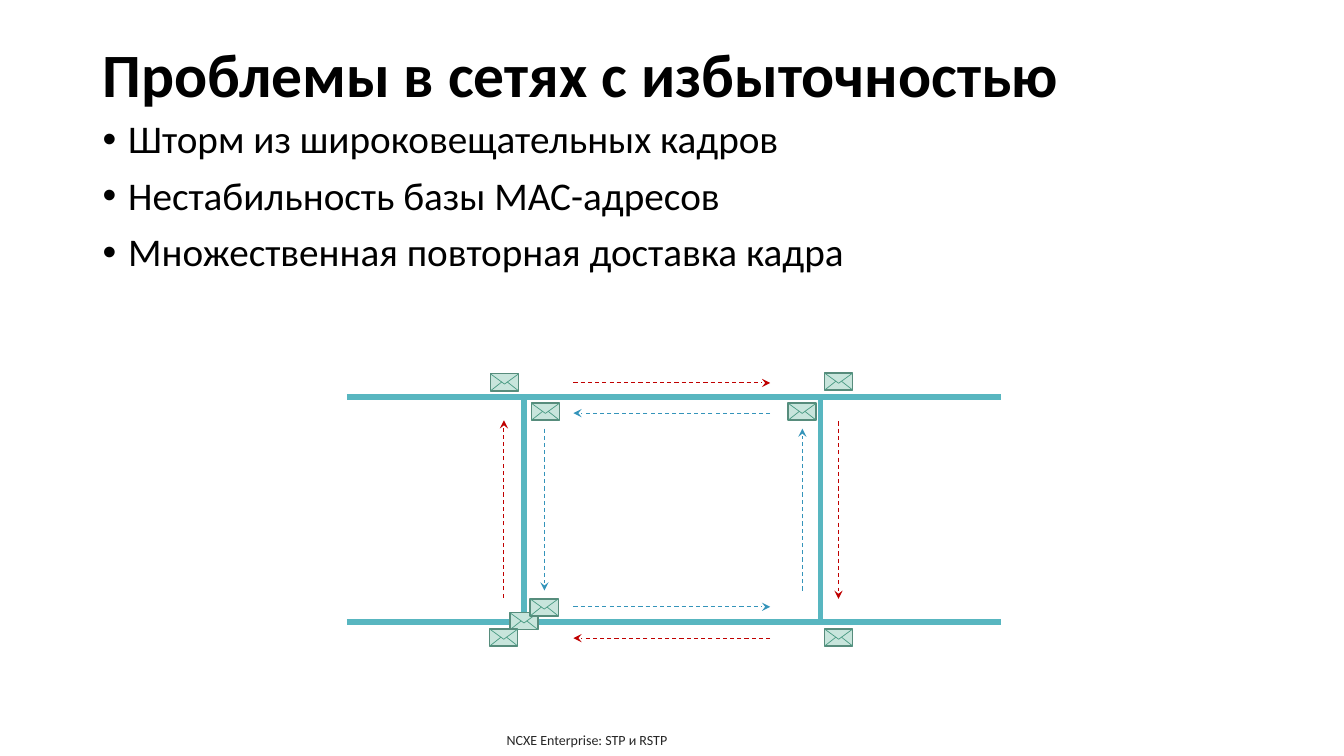
from typing import NamedTuple, Optional

from lxml.etree import SubElement
from pptx import Presentation
from pptx.dml.color import RGBColor
from pptx.enum.dml import MSO_LINE
from pptx.enum.shapes import MSO_CONNECTOR, MSO_SHAPE
from pptx.enum.text import MSO_ANCHOR
from pptx.oxml.ns import qn
from pptx.slide import Slide
from pptx.util import Cm, Pt


class Theme:
    font = "Calibri"
    text = RGBColor.from_string("000000")
    footer_text = RGBColor.from_string("262626")
    cable = RGBColor.from_string("58B6C0")
    clockwise = RGBColor.from_string("C00000")
    counter = RGBColor.from_string("3494BA")
    letter_fill = RGBColor.from_string("C8E5DC")
    letter_edge = RGBColor.from_string("578C7C")
    letter_fold = RGBColor.from_string("4A9B83")
    title_size, body_size, footer_size = 44, 28, 10
    cable_width, flow_width, edge_width, fold_width = 4, 0.75, 1, 0.5


class TextBlock(NamedTuple):
    left: float
    top: float
    width: float
    height: float
    lines: list[str]
    size: float
    color: RGBColor = Theme.text
    bold: bool = False
    bullets: bool = False
    line_spacing: Optional[float] = None
    anchor: MSO_ANCHOR = MSO_ANCHOR.TOP


class Segment(NamedTuple):
    x1: float
    y1: float
    x2: float
    y2: float
    color: RGBColor
    width: float
    is_arrow: bool = False


class Letter(NamedTuple):
    left: float
    top: float


LETTER_WIDTH, LETTER_HEIGHT = 0.71, 0.43
# Folds as fractions of the letter's width and height
FOLDS = [
    (1, 0, 0.5, 0.6),
    (0, 0, 0.5, 0.6),
    (0.4, 0.48, 0, 1),
    (0.6, 0.48, 1, 1),
]

TEXT_BLOCKS = [
    TextBlock(2.34, 2.9, 29.21, 14.27,
              ["Шторм из широковещательных кадров",
               "Нестабильность базы MAC-адресов",
               "Множественная повторная доставка кадра"],
              Theme.body_size, bullets=True, line_spacing=0.9),
    TextBlock(12.52, 18.31, 7.39, 0.74, ["NCXE Enterprise: STP и RSTP"],
              Theme.footer_size, Theme.footer_text),
    TextBlock(2.34, 1.02, 29.21, 1.88, ["Проблемы в сетях с избыточностью"],
              Theme.title_size, bold=True, line_spacing=0.9,
              anchor=MSO_ANCHOR.MIDDLE),
]


def flow(x1: float, y1: float, x2: float, y2: float, color: RGBColor) -> Segment:
    return Segment(x1, y1, x2, y2, color, Theme.flow_width, is_arrow=True)


FLOW_LEFT, FLOW_RIGHT = 14.45, 19.41
FLOWS = [
    flow(FLOW_LEFT, 15.29, FLOW_RIGHT, 15.29, Theme.counter),
    flow(FLOW_RIGHT, 16.08, FLOW_LEFT, 16.08, Theme.clockwise),
    flow(FLOW_LEFT, 9.65, FLOW_RIGHT, 9.65, Theme.clockwise),
    flow(FLOW_RIGHT, 10.41, FLOW_LEFT, 10.41, Theme.counter),
    flow(13.72, 10.8, 13.72, 14.88, Theme.counter),
    flow(12.7, 15.06, 12.7, 10.59, Theme.clockwise),
    flow(20.22, 14.88, 20.22, 10.8, Theme.counter),
    flow(21.13, 10.62, 21.13, 15.09, Theme.clockwise),
]

TOP_BUS, BOTTOM_BUS = 10.01, 15.67
CABLES = [
    Segment(x1, y1, x2, y2, Theme.cable, Theme.cable_width)
    for x1, y1, x2, y2 in [
        (8.74, BOTTOM_BUS, 25.22, BOTTOM_BUS),
        (13.21, BOTTOM_BUS, 13.21, TOP_BUS),
        (20.68, BOTTOM_BUS, 20.68, TOP_BUS),
        (8.74, TOP_BUS, 25.22, TOP_BUS),
    ]
]

LETTERS = [
    Letter(12.36, 9.42), Letter(20.78, 9.4),
    Letter(20.78, 15.85), Letter(19.86, 10.16),
    Letter(12.85, 15.44), Letter(13.39, 10.16),
    Letter(13.36, 15.09), Letter(12.34, 15.85),
]


def add_text(slide: Slide, block: TextBlock) -> None:
    box = slide.shapes.add_textbox(
        Cm(block.left), Cm(block.top), Cm(block.width), Cm(block.height))
    frame = box.text_frame
    frame.word_wrap = True
    frame.vertical_anchor = block.anchor
    frame.text = "\n".join(block.lines)
    for index, paragraph in enumerate(frame.paragraphs):
        if block.bullets:
            properties = paragraph._p.get_or_add_pPr()
            properties.set("marL", str(Cm(0.64)))
            properties.set("indent", str(Cm(-0.64)))
            SubElement(properties, qn("a:buFont"), typeface="Arial")
            SubElement(properties, qn("a:buChar"), char="•")
            if index > 0:
                paragraph.space_before = Pt(10)
        if block.line_spacing:
            paragraph.line_spacing = block.line_spacing
        for run in paragraph.runs:
            run.font.name = Theme.font
            run.font.size = Pt(block.size)
            run.font.bold = block.bold
            run.font.color.rgb = block.color


def add_segment(slide: Slide, segment: Segment) -> None:
    connector = slide.shapes.add_connector(
        MSO_CONNECTOR.STRAIGHT, Cm(segment.x1), Cm(segment.y1),
        Cm(segment.x2), Cm(segment.y2))
    line = connector.line
    line.color.rgb = segment.color
    line.width = Pt(segment.width)
    if segment.is_arrow:
        line.dash_style = MSO_LINE.DASH
        SubElement(line._get_or_add_ln(), qn("a:tailEnd"), type="stealth")
    SubElement(connector._element.spPr, qn("a:effectLst"))


def add_letter(slide: Slide, letter: Letter) -> None:
    envelope = slide.shapes.add_shape(
        MSO_SHAPE.RECTANGLE, Cm(letter.left), Cm(letter.top),
        Cm(LETTER_WIDTH), Cm(LETTER_HEIGHT))
    envelope.shadow.inherit = False
    envelope.fill.solid()
    envelope.fill.fore_color.rgb = Theme.letter_fill
    envelope.line.color.rgb = Theme.letter_edge
    envelope.line.width = Pt(Theme.edge_width)
    for x1, y1, x2, y2 in FOLDS:
        add_segment(slide, Segment(
            letter.left + x1 * LETTER_WIDTH, letter.top + y1 * LETTER_HEIGHT,
            letter.left + x2 * LETTER_WIDTH, letter.top + y2 * LETTER_HEIGHT,
            Theme.letter_fold, Theme.fold_width))


def main() -> None:
    presentation = Presentation()
    presentation.slide_width = Cm(33.87)
    presentation.slide_height = Cm(19.05)
    slide = presentation.slides.add_slide(presentation.slide_layouts[6])

    # Title, bullets and footer
    for block in TEXT_BLOCKS:
        add_text(slide, block)

    # Circulating frames and the redundant network
    for segment in FLOWS + CABLES:
        add_segment(slide, segment)

    # Copies of the broadcast frame
    for letter in LETTERS:
        add_letter(slide, letter)

    presentation.save("out.pptx")


if __name__ == "__main__":
    main()
